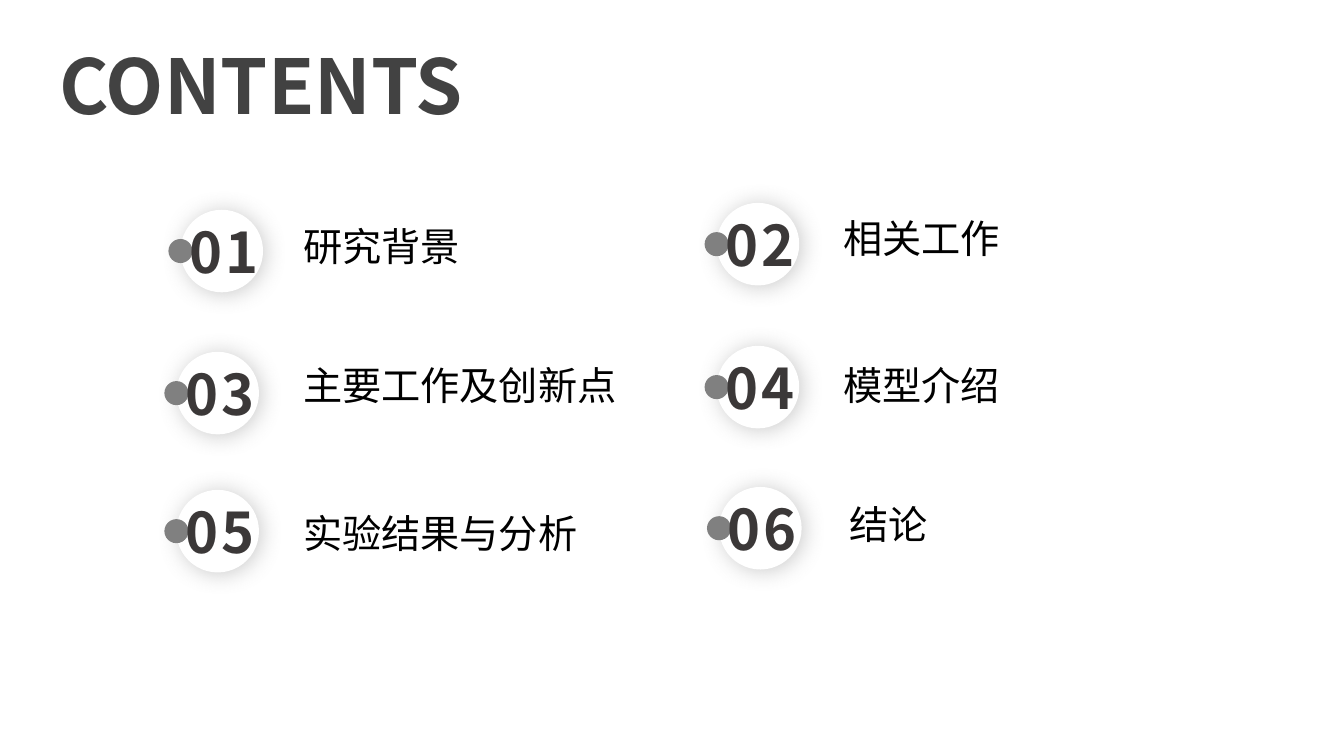
"""Builds a contents slide with six numbered topics in two columns."""
from lxml import etree
from pptx import Presentation
from pptx.dml.color import RGBColor
from pptx.enum import shapes, text
from pptx.oxml import ns, parse_xml
from pptx.util import Pt

FONT = "Noto Sans CJK SC"
WHITE = RGBColor(0xFF, 0xFF, 0xFF)
GREY = RGBColor(0x80, 0x80, 0x80)
TITLE_GREY = RGBColor(0x42, 0x42, 0x42)
NUMBER_GREY = RGBColor(0x3B, 0x38, 0x38)
BLACK = RGBColor(0, 0, 0)
CIRCLE_SIZE = 59
DOT_SIZE = 17.2
SHADOW = f"""<a:effectLst {ns.nsdecls("a")}>
  <a:outerShdw blurRad="{Pt(16)}" dist="{Pt(2)}" dir="1800000" algn="ctr" rotWithShape="0">
    <a:srgbClr val="{GREY}"><a:alpha val="40000"/></a:srgbClr>
  </a:outerShdw>
</a:effectLst>"""


def add_text(container, content, left, top, width, height, *, size, color,
             bold=False, wrap=False, centered=False, spacing=0):
    box = container.shapes.add_textbox(Pt(left), Pt(top), Pt(width), Pt(height))
    frame = box.text_frame
    frame.word_wrap = wrap
    frame.auto_size = text.MSO_AUTO_SIZE.SHAPE_TO_FIT_TEXT
    paragraph = frame.paragraphs[0]
    if centered:
        frame.margin_left = frame.margin_right = frame.margin_top = frame.margin_bottom = 0
        frame.vertical_anchor = text.MSO_ANCHOR.MIDDLE
        paragraph.alignment = text.PP_ALIGN.CENTER
    run = paragraph.add_run()
    run.text = content
    run.font.size = Pt(size)
    run.font.bold = bold
    run.font.color.rgb = color
    run.font.name = FONT
    properties = run._r.get_or_add_rPr()
    etree.SubElement(properties, ns.qn("a:ea"), typeface=FONT)
    if spacing:
        properties.set("spc", str(spacing * 100))


def add_circle(container, left, top, size, color):
    circle = container.shapes.add_shape(
        shapes.MSO_SHAPE.OVAL, Pt(left), Pt(top), Pt(size), Pt(size))
    circle.fill.solid()
    circle.fill.fore_color.rgb = color
    circle.line.fill.background()
    circle.shadow.inherit = False
    return circle


presentation = Presentation()
presentation.slide_width = Pt(960)
presentation.slide_height = Pt(540)
slide = presentation.slides.add_slide(presentation.slide_layouts[6])

add_text(slide, "CONTENTS", 35.3, 24.5, 316.8, 72.7, size=54, color=TITLE_GREY, bold=True)

topics = [
    ("研究背景", 128.9, 149.8, 209.5, 155.5),
    ("相关工作", 511.9, 144.9, 595.4, 149.8),
    ("主要工作及创新点", 126, 251.3, 209.5, 254.9),
    ("模型介绍", 511.9, 247, 595.4, 254.9),
    ("实验结果与分析", 126, 349.9, 209.5, 360),
    ("结论", 513.6, 347.8, 599.8, 354.2),
]
for number, (topic, left, top, topic_left, topic_top) in enumerate(topics, 1):
    badge = slide.shapes.add_group_shape()
    disc = add_circle(badge, left, top, CIRCLE_SIZE, WHITE)
    disc_properties = disc._element.spPr
    disc_properties.replace(disc_properties.find(ns.qn("a:effectLst")), parse_xml(SHADOW))
    add_circle(badge, left - 8.6, top + (CIRCLE_SIZE - DOT_SIZE) / 2, DOT_SIZE, GREY)
    add_text(badge, f"{number:02d}", left - 10.5, top + 5.2, 82.8, 48.2, size=40,
             color=NUMBER_GREY, bold=True, wrap=True, centered=True, spacing=2)
    add_text(slide, topic, topic_left, topic_top, 14.4 + 28 * len(topic), 41,
             size=28, color=BLACK)

presentation.save("out.pptx")
